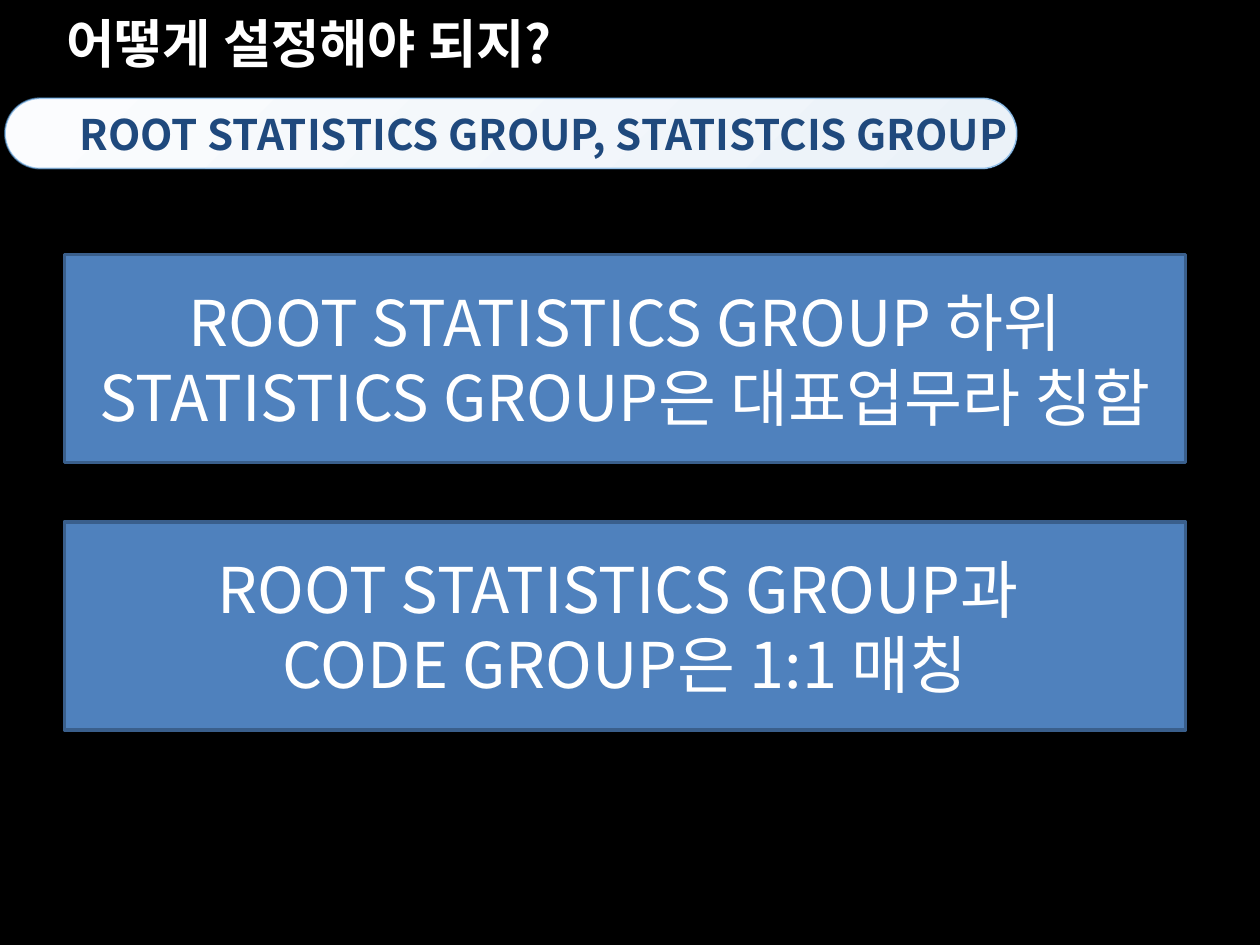
"""Build the slide on statistics group settings."""
import lxml.etree
import pptx
import pptx.dml.color
import pptx.enum.shapes
import pptx.enum.text
import pptx.oxml.ns
import pptx.util

Cm = pptx.util.Cm
SHAPE = pptx.enum.shapes.MSO_SHAPE
ALIGN = pptx.enum.text.PP_ALIGN
FONT = "Noto Sans CJK KR"
qn = pptx.oxml.ns.qn


def rgb(value):
    return pptx.dml.color.RGBColor.from_string(value)


def write(sp, text, size=36, color="FFFFFF", bold=False, align=ALIGN.LEFT, wrap=True):
    tf = sp.text_frame
    tf.word_wrap = wrap
    tf.vertical_anchor = pptx.enum.text.MSO_ANCHOR.MIDDLE
    p = tf.paragraphs[0]
    p.alignment = align
    for i, line in enumerate(text.split("\n")):
        if i:
            p.add_line_break()
        r = p.add_run()
        r.text = line
        r.font.size = pptx.util.Pt(size)
        r.font.bold = bold
        r.font.color.rgb = rgb(color)
        r.font.name = FONT
        lxml.etree.SubElement(r.font._element, qn("a:ea"), typeface=FONT)


prs = pptx.Presentation()
prs.slide_width, prs.slide_height = Cm(25.4), Cm(19.05)
s = prs.slides.add_slide(prs.slide_layouts[6])
s.background.fill.solid()
s.background.fill.fore_color.rgb = rgb("000000")

sp = s.shapes.add_textbox(Cm(1.09), Cm(0), Cm(17.81), Cm(1.73))
write(sp, "어떻게 설정해야 되지?", size=30, bold=True)

sp = s.shapes.add_shape(SHAPE.ROUNDED_RECTANGLE, Cm(0.1), Cm(1.98), Cm(20.4), Cm(1.42))
sp.shadow.inherit = False
sp.adjustments[0] = 0.5
sp.fill.gradient()
sp.fill.gradient_angle = 315
for stop, color in zip(sp.fill.gradient_stops, ("FBFCFE", "EBF2F8")):
    stop.color.rgb = rgb(color)
sp.line.width = pptx.util.Pt(1)
sp.line.color.rgb = rgb("5CA0DD")
line_color = sp.line._ln.find(".//" + qn("a:srgbClr"))
lxml.etree.SubElement(line_color, qn("a:alpha"), val="60000")
sp.text_frame.margin_left = Cm(1.3)
write(sp, "ROOT STATISTICS GROUP, STATISTCIS GROUP", size=24, color="1F497D",
      bold=True, wrap=False)

rules = (
    "ROOT STATISTICS GROUP 하위 STATISTICS GROUP은 대표업무라 칭함",
    "ROOT STATISTICS GROUP과 \nCODE GROUP은 1:1 매칭",
)
for i, text in enumerate(rules):
    sp = s.shapes.add_shape(SHAPE.RECTANGLE, Cm(1.3), Cm(5.13 + 5.39 * i), Cm(22.6), Cm(4.2))
    sp.shadow.inherit = False
    sp.fill.solid()
    sp.fill.fore_color.rgb = rgb("4F81BD")
    sp.line.width = pptx.util.Pt(2)
    sp.line.color.rgb = rgb("3A5F8C")
    write(sp, text, align=ALIGN.CENTER)

prs.save("out.pptx")
